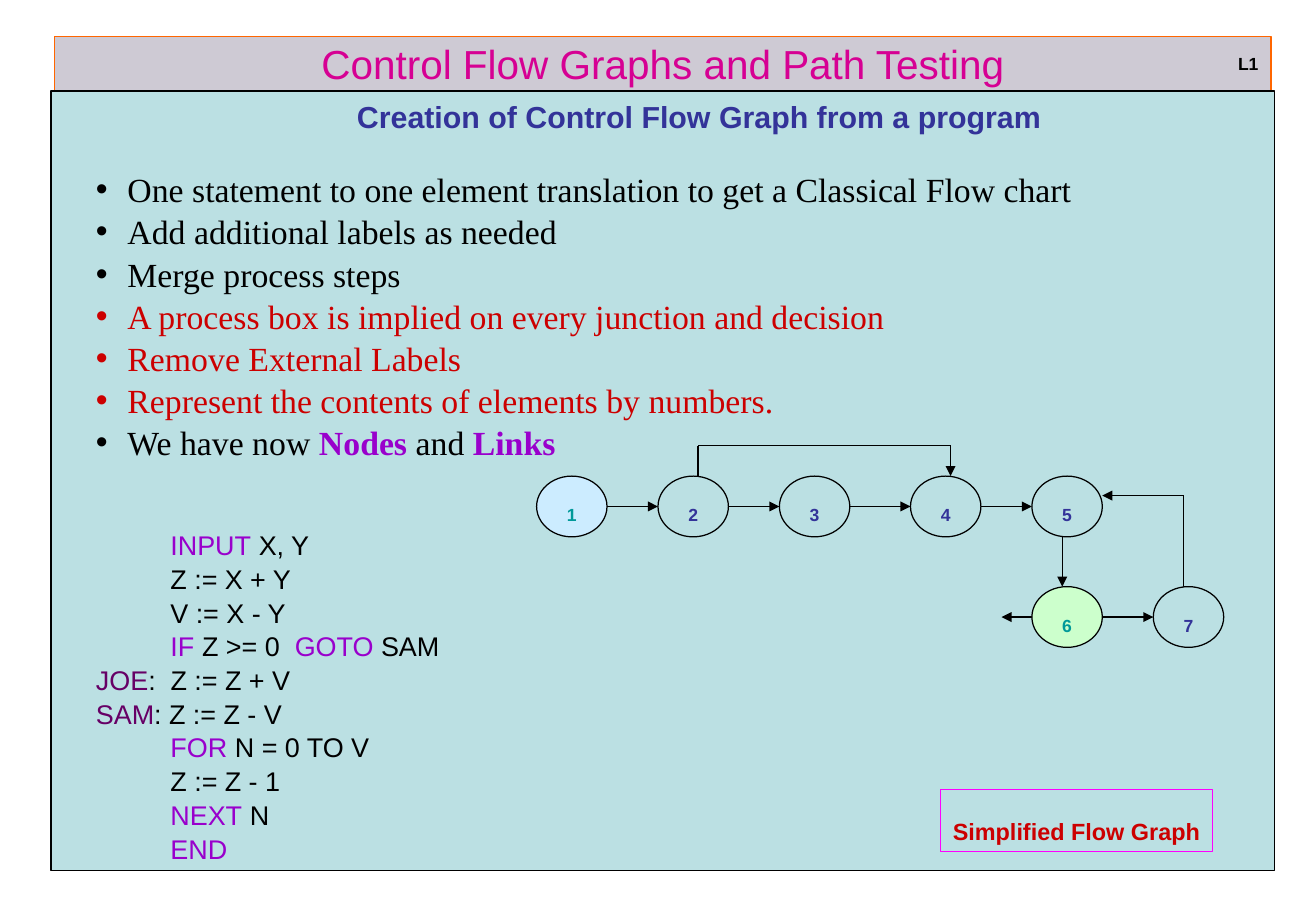
from dataclasses import dataclass
from typing import NamedTuple, Optional

from lxml.etree import SubElement
from pptx import Presentation
from pptx.dml.color import RGBColor
from pptx.enum.shapes import MSO_CONNECTOR as CONN, MSO_SHAPE as SHAPE
from pptx.enum.text import MSO_ANCHOR as ANCHOR, MSO_AUTO_SIZE as AUTO, PP_ALIGN as ALIGN
from pptx.oxml.ns import qn
from pptx.util import Pt

PX = 9144  # EMU per px, 100 px to the inch

BLACK = RGBColor(0x00, 0x00, 0x00)
NAVY = RGBColor(0x33, 0x33, 0x99)
RED = RGBColor(0xCC, 0x00, 0x00)
PURPLE = RGBColor(0x99, 0x00, 0xCC)
PLUM = RGBColor(0x66, 0x00, 0x66)
TEAL = RGBColor(0x00, 0x99, 0x99)
PINK = RGBColor(0xD6, 0x00, 0x93)
MAGENTA = RGBColor(0xFF, 0x00, 0xFF)
ORANGE = RGBColor(0xFF, 0x66, 0x00)
GREY = RGBColor(0xCE, 0xCA, 0xD4)
PANEL = RGBColor(0xBB, 0xE0, 0xE3)
SKY = RGBColor(0xCC, 0xEC, 0xFF)
MINT = RGBColor(0xCC, 0xFF, 0xCC)


class Span(NamedTuple):
    text: str
    color: RGBColor = BLACK
    bold: bool = False


@dataclass(frozen=True)
class Style:
    font: str
    size: int
    gap: float  # points before the paragraph
    lead: float  # points before the first paragraph of this style
    margin: int
    hang: int = 0
    align: ALIGN = ALIGN.LEFT


@dataclass(frozen=True)
class Node:
    label: str
    x: int
    y: int
    fill: RGBColor = PANEL
    color: RGBColor = NAVY


HEADING = Style("Arial", 18, 0, 0, 19, align=ALIGN.CENTER)
BULLET = Style("Times New Roman", 20, 1, 20.2, 45, 26)
CODE = Style("Arial", 16, 0.8, 39.2, 19)

TAB = " " * 10
BODY = [
    (HEADING, [[Span("Creation of Control Flow Graph from a program", NAVY, True)]]),
    (BULLET, [
        [Span("One statement to one element translation to get a Classical Flow chart")],
        [Span("Add additional labels as needed")],
        [Span("Merge process steps")],
        [Span("A process box is implied on every junction and decision", RED)],
        [Span("Remove External Labels", RED)],
        [Span("Represent the contents of elements by numbers.", RED)],
        [Span("We have now "), Span("Nodes", PURPLE, True), Span(" and "),
         Span("Links", PURPLE, True)],
    ]),
    (CODE, [
        [Span(TAB + "INPUT", PURPLE), Span(" X, Y")],
        [Span(TAB + "Z := X + Y")],
        [Span(TAB + "V := X - Y")],
        [Span(TAB + "IF", PURPLE), Span(" Z >= 0  "), Span("GOTO", PURPLE), Span(" SAM")],
        [Span("JOE", PLUM), Span(":  Z := Z + V")],
        [Span("SAM", PLUM), Span(": Z := Z - V")],
        [Span(TAB + "FOR", PURPLE), Span(" N = 0 TO V")],
        [Span(TAB + "Z := Z - 1")],
        [Span(TAB + "NEXT", PURPLE), Span(" N")],
        [Span(TAB + "END", PURPLE)],
    ]),
]

NODE_W, NODE_H = 58, 50
TOP, LOW = 392, 483
NODES = [
    Node("1", 442, TOP, SKY, TEAL),
    Node("2", 542, TOP),
    Node("3", 642, TOP),
    Node("4", 750, TOP),
    Node("5", 850, TOP),
    Node("6", 850, LOW, MINT, TEAL),
    Node("7", 950, LOW),
]

# Each link runs through its points and ends in an arrowhead
MID_TOP, MID_LOW = TOP + NODE_H // 2, LOW + NODE_H // 2
LINKS = [[(a.x + NODE_W, a.y + NODE_H // 2), (b.x, b.y + NODE_H // 2)]
         for a, b in zip(NODES, NODES[1:]) if a.y == b.y]
LINKS += [
    [(575, TOP), (575, 367), (783, 367), (783, TOP)],
    [(875, TOP + NODE_H), (875, LOW)],
    [(975, LOW), (975, 408), (908, 408)],
    [(850, MID_LOW), (825, MID_LOW)],
]


def place(s, x: int, y: int, w: int, h: int) -> None:
    s.left, s.top, s.width, s.height = (v * PX for v in (x, y, w, h))


def paint(s, fill: Optional[RGBColor], line: RGBColor) -> None:
    if fill is None:
        s.fill.background()
    else:
        s.fill.solid()
        s.fill.fore_color.rgb = fill
    s.line.color.rgb = line
    s.line.width = Pt(0.75)


def add_box(shapes, kind: SHAPE, x: int, y: int, w: int, h: int,
            fill: Optional[RGBColor], line: RGBColor):
    s = shapes.add_shape(kind, x * PX, y * PX, w * PX, h * PX)
    s.shadow.inherit = False
    paint(s, fill, line)
    return s


def format_run(r, font: str, size: int, color: RGBColor, bold: bool) -> None:
    r.font.name, r.font.size, r.font.bold = font, Pt(size), bold
    r.font.color.rgb = color


def set_label(s, text: str, size: int, color: RGBColor, align: ALIGN, anchor: ANCHOR) -> None:
    """Bold lowered label on one line."""
    tf = s.text_frame
    tf.text = text
    tf.word_wrap = False
    tf.vertical_anchor = anchor
    p = tf.paragraphs[0]
    p.alignment = align
    r = p.runs[0]
    format_run(r, "Arial", size, color, True)
    r._r.get_or_add_rPr().set("baseline", "-12000")


def fill_paragraph(p, spans: list, style: Style, before: float) -> None:
    p.alignment = style.align
    p.space_before = Pt(before)
    pPr = p._p.get_or_add_pPr()
    pPr.set("marL", str(style.margin * PX))
    pPr.set("indent", str(-style.hang * PX))
    if style.hang:
        clr = SubElement(pPr, qn("a:buClr"))
        SubElement(clr, qn("a:srgbClr"), val=str(spans[0].color))
        SubElement(pPr, qn("a:buChar"), char="•")
    else:
        SubElement(pPr, qn("a:buNone"))
    for span in spans:
        r = p.add_run()
        r.text = span.text
        format_run(r, style.font, style.size, span.color, span.bold)


def add_link(shapes, points: list) -> None:
    for (x1, y1), (x2, y2) in zip(points, points[1:]):
        c = shapes.add_connector(CONN.STRAIGHT, x1 * PX, y1 * PX, x2 * PX, y2 * PX)
        c.line.color.rgb = BLACK
        c.line.width = Pt(0.75)
        SubElement(c._element.spPr, qn("a:effectLst"))
    SubElement(c.line._get_or_add_ln(), qn("a:tailEnd"), type="triangle")


def main() -> None:
    prs = Presentation()
    prs.slide_width, prs.slide_height = 1084 * PX, 750 * PX
    slide = prs.slides.add_slide(prs.slide_layouts[1])
    shapes = slide.shapes

    # Title bar
    title = shapes.title
    place(title, 45, 30, 1002, 45)
    paint(title, GREY, ORANGE)
    tf = title.text_frame
    tf.text = "Control Flow Graphs and Path Testing"
    tf.auto_size, tf.vertical_anchor = AUTO.NONE, ANCHOR.MIDDLE
    tf.paragraphs[0].alignment = ALIGN.CENTER
    format_run(tf.paragraphs[0].runs[0], "Arial", 24, PINK, False)

    # Panel and level mark
    panel = add_box(shapes, SHAPE.RECTANGLE, 42, 75, 1008, 642, PANEL, BLACK)
    level = shapes.add_textbox(1010 * PX, 25 * PX, 37 * PX, 41 * PX)
    set_label(level, "L1", 18, BLACK, ALIGN.LEFT, ANCHOR.TOP)

    # Heading, bullets and program, in front of the panel
    body = slide.placeholders[1]
    place(body, 50, 76, 1033, 620)
    panel._element.addnext(body._element)
    tf = body.text_frame
    tf.auto_size, tf.vertical_anchor = AUTO.NONE, ANCHOR.TOP
    for style, lines in BODY:
        for i, spans in enumerate(lines):
            p = tf.paragraphs[0] if style is HEADING else tf.add_paragraph()
            fill_paragraph(p, spans, style, style.gap if i else style.lead)

    # Flow graph with its caption
    caption = add_box(shapes, SHAPE.RECTANGLE, 775, 650, 224, 51, None, MAGENTA)
    set_label(caption, "Simplified Flow Graph", 24, RED, ALIGN.LEFT, ANCHOR.TOP)
    for points in LINKS:
        add_link(shapes, points)
    for n in NODES:
        s = add_box(shapes, SHAPE.OVAL, n.x, n.y, NODE_W, NODE_H, n.fill, BLACK)
        set_label(s, n.label, 18, n.color, ALIGN.CENTER, ANCHOR.MIDDLE)

    prs.save("out.pptx")


if __name__ == "__main__":
    main()
